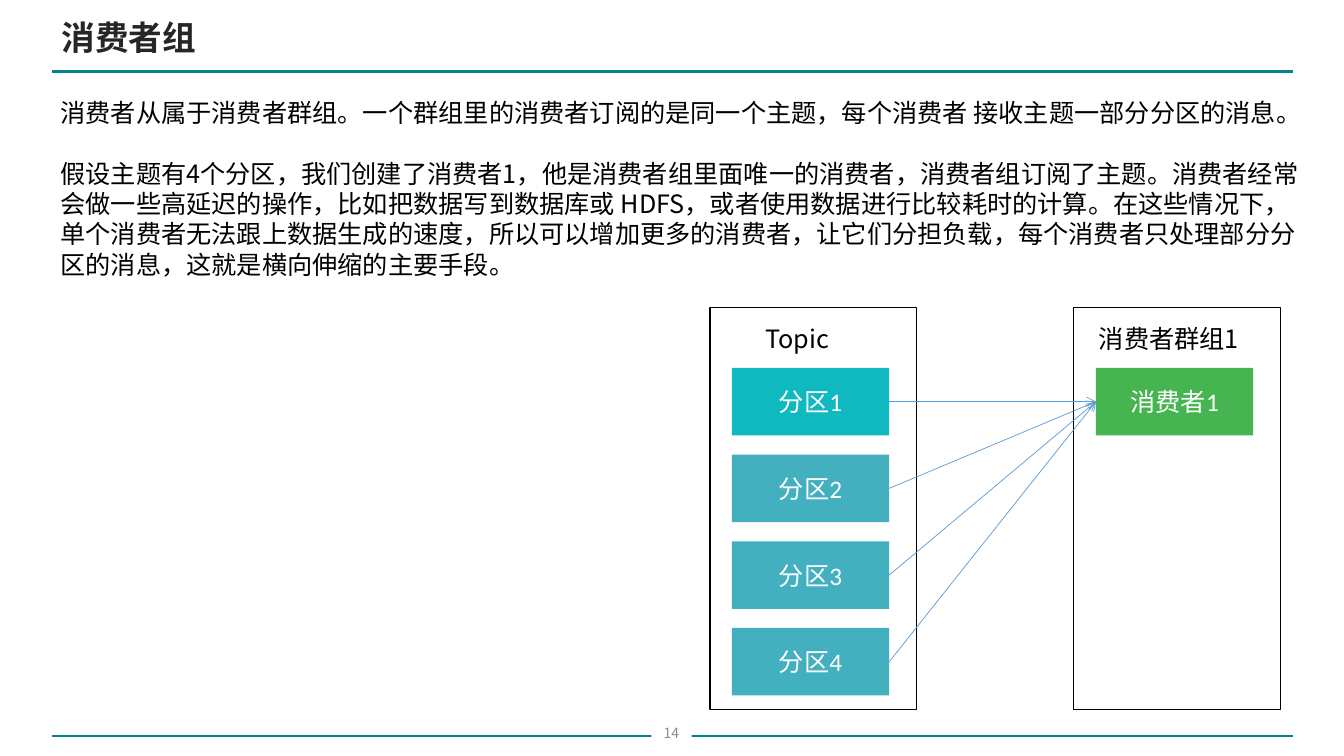
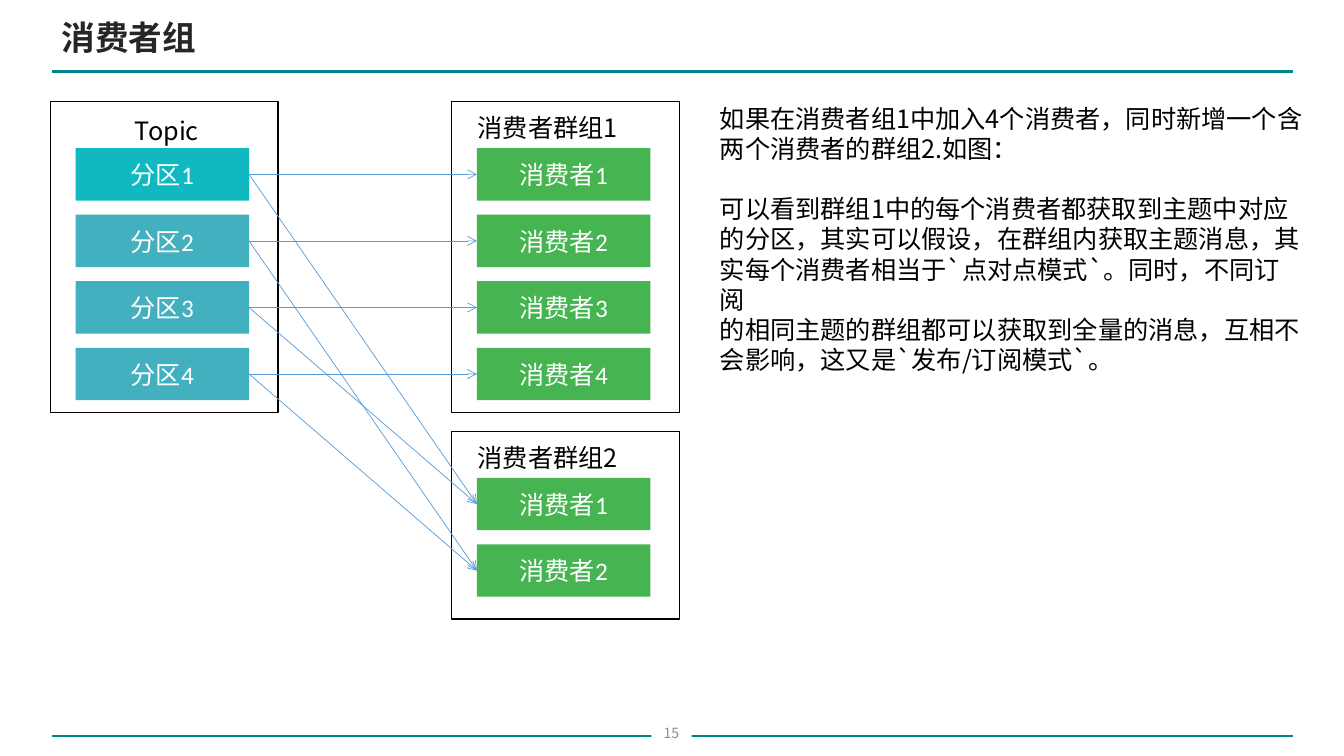
"""Build two slides on consumer groups and their topic partitions."""
from lxml.etree import SubElement
from pptx import Presentation
from pptx.dml.color import RGBColor
from pptx.enum.shapes import MSO_CONNECTOR, MSO_SHAPE
from pptx.enum.text import MSO_ANCHOR, MSO_AUTO_SIZE, PP_ALIGN
from pptx.oxml.ns import qn
from pptx.util import Inches, Pt

TEAL = RGBColor(0x00, 0x85, 0x8E)
CYAN = RGBColor(0x10, 0xB9, 0xC0)
BLUE = RGBColor(0x43, 0xB0, 0xC0)
GREEN = RGBColor(0x45, 0xB4, 0x51)
ARROW = RGBColor(0x5B, 0x9B, 0xD5)
DARK = RGBColor(0x26, 0x26, 0x26)
GREY = RGBColor(0x8C, 0x8C, 0x8C)
BLACK = RGBColor(0x00, 0x00, 0x00)
WHITE = RGBColor(0xFF, 0xFF, 0xFF)

CJK = "Noto Sans CJK SC"
TITLE = {"name": CJK, "size": Pt(24), "bold": True}
TEXT = {"name": CJK, "size": Pt(18)}
LABEL = {"name": "Calibri", "size": Pt(18)}
NUMBER = {"name": CJK, "size": Pt(10)}
LEADING = Pt(21.6)
PARTITION_FILLS = [CYAN, BLUE, BLUE, BLUE]
PARTITIONS = ["分区1", "分区2", "分区3", "分区4"]
CONSUMERS = ["消费者1", "消费者2", "消费者3", "消费者4"]

SLIDES = [
    {
        "number": "14",
        "body_at": (0.5, 0.92, 12.52, 2.2),
        "body": [
            ["消费者从属于消费者群组。一个群组里的消费者订阅的是同一个主题，每个消费者 接收主题一部分分区的消息。"],
            ["假设主题有4个分区，我们创建了消费者1，他是消费者组里面唯一的消费者，消费者组订阅了主题。消费者经常",
             "会做一些高延迟的操作，比如把数据写到数据库或 HDFS，或者使用数据进行比较耗时的计算。在这些情况下，",
             "单个消费者无法跟上数据生成的速度，所以可以增加更多的消费者，让它们分担负载，每个消费者只处理部分分",
             "区的消息，这就是横向伸缩的主要手段。"],
        ],
        "box": (1.56, 0.67), "inset": (0.22, 0.6), "pitch": 0.86,
        "frames": [
            ((7.04, 3.05, 2.05, 3.99), "Topic", (0.45, 0.11), PARTITIONS, PARTITION_FILLS),
            ((10.65, 3.05, 2.05, 3.99), "消费者群组1", (0.15, 0.11), CONSUMERS[:1], [GREEN]),
        ],
        "arrows": [(0, 4), (1, 4), (2, 4), (3, 4)],
    },
    {
        "number": "15",
        "body_at": (7.04, 0.97, 5.99, 2.83),
        "body": [
            ["如果在消费者组1中加入4个消费者，同时新增一个含",
             "两个消费者的群组2.如图："],
            ["可以看到群组1中的每个消费者都获取到主题中对应",
             "的分区，其实可以假设，在群组内获取主题消息，其",
             "实每个消费者相当于`点对点模式`。同时，不同订阅",
             "的相同主题的群组都可以获取到全量的消息，互相不",
             "会影响，这又是`发布/订阅模式`。"],
        ],
        "box": (1.72, 0.52), "inset": (0.25, 0.46), "pitch": 0.66,
        "frames": [
            ((0.5, 1.01, 2.26, 3.08), "Topic", (0.74, 0.08), PARTITIONS, PARTITION_FILLS),
            ((4.48, 1.01, 2.26, 3.08), "消费者群组1", (0.16, 0.06), CONSUMERS, [GREEN] * 4),
            ((4.48, 4.28, 2.26, 1.86), "消费者群组2", (0.16, 0.06), CONSUMERS[:2], [GREEN] * 2),
        ],
        "arrows": [(0, 4), (1, 5), (2, 6), (3, 7), (0, 8), (1, 9), (2, 8), (3, 9)],
    },
]


def write(tf, blocks, fmt, color, align=PP_ALIGN.LEFT, leading=LEADING):
    """Fill a text frame with blocks of lines, one line of space between blocks."""
    tf.word_wrap = True
    tf.auto_size = MSO_AUTO_SIZE.NONE
    lines = [(text, i > 0 and j == 0)
             for i, block in enumerate(blocks) for j, text in enumerate(block)]
    for n, (text, gap) in enumerate(lines):
        p = tf.add_paragraph() if n else tf.paragraphs[0]
        p.alignment = align
        p.line_spacing = leading
        p.space_before = LEADING if gap else Pt(0)
        pPr = p._p.get_or_add_pPr()
        pPr.set("marL", "0")
        pPr.set("indent", "0")
        SubElement(pPr, qn("a:buNone"))
        r = p.add_run()
        r.text = text
        for key, value in fmt.items():
            setattr(r.font, key, value)
        r.font.color.rgb = color
        SubElement(r._r.get_or_add_rPr(), qn("a:ea")).set("typeface", CJK)


def add_rect(s, at, fill, line=None):
    """Add a flat rectangle, outlined only when a line colour is given."""
    sp = s.shapes.add_shape(MSO_SHAPE.RECTANGLE, *map(Inches, at))
    sp.shadow.inherit = False
    sp.fill.solid()
    sp.fill.fore_color.rgb = fill
    if line is None:
        sp.line.fill.background()
    else:
        sp.line.color.rgb = line
        sp.line.width = Pt(1)
    sp.text_frame.vertical_anchor = MSO_ANCHOR.MIDDLE
    return sp


prs = Presentation()
prs.slide_width, prs.slide_height = Inches(13.33), Inches(7.5)

for data in SLIDES:
    s = prs.slides.add_slide(prs.slide_layouts[1])
    title, body = s.shapes.title, s.placeholders[1]
    for sp, at in ((title, (0.51, 0.11, 10.77, 0.51)), (body, data["body_at"])):
        sp.left, sp.top, sp.width, sp.height = map(Inches, at)
    title.text_frame.vertical_anchor = MSO_ANCHOR.MIDDLE
    write(title.text_frame, [["消费者组"]], TITLE, DARK, leading=1.0)
    write(body.text_frame, data["body"], TEXT, BLACK)

    lines = []
    for y, width in ((0.71, 2), (7.3, 1)):
        rule = s.shapes.add_connector(
            MSO_CONNECTOR.STRAIGHT, Inches(0.52), Inches(y), Inches(12.82), Inches(y))
        lines.append((rule, TEAL, width))
    number = add_rect(s, (6.46, 7.05, 0.4, 0.45), WHITE)
    write(number.text_frame, [[data["number"]]], NUMBER, GREY, PP_ALIGN.CENTER, 1.0)

    boxes = []
    (w, h), (dx, dy) = data["box"], data["inset"]
    for at, heading, (hx, hy), labels, fills in data["frames"]:
        x, y = at[:2]
        add_rect(s, at, WHITE, BLACK)
        tb = s.shapes.add_textbox(Inches(x + hx), Inches(y + hy), Inches(at[2] - hx), Inches(0.4))
        write(tb.text_frame, [[heading]], TEXT, BLACK)
        for i, (label, fill) in enumerate(zip(labels, fills)):
            sp = add_rect(s, (x + dx, y + dy + i * data["pitch"], w, h), fill)
            write(sp.text_frame, [[label]], LABEL, WHITE, PP_ALIGN.CENTER)
            boxes.append(sp)

    for start, end in data["arrows"]:
        arrow = s.shapes.add_connector(MSO_CONNECTOR.STRAIGHT, 0, 0, 0, 0)
        arrow.begin_connect(boxes[start], 3)
        arrow.end_connect(boxes[end], 1)
        lines.append((arrow, ARROW, 0.5))

    for cxn, color, width in lines:
        cxn.line.color.rgb = color
        cxn.line.width = Pt(width)
        if color == ARROW:
            SubElement(cxn.line._get_or_add_ln(), qn("a:tailEnd")).set("type", "arrow")
        SubElement(cxn._element.spPr, qn("a:effectLst"))

prs.save("out.pptx")
